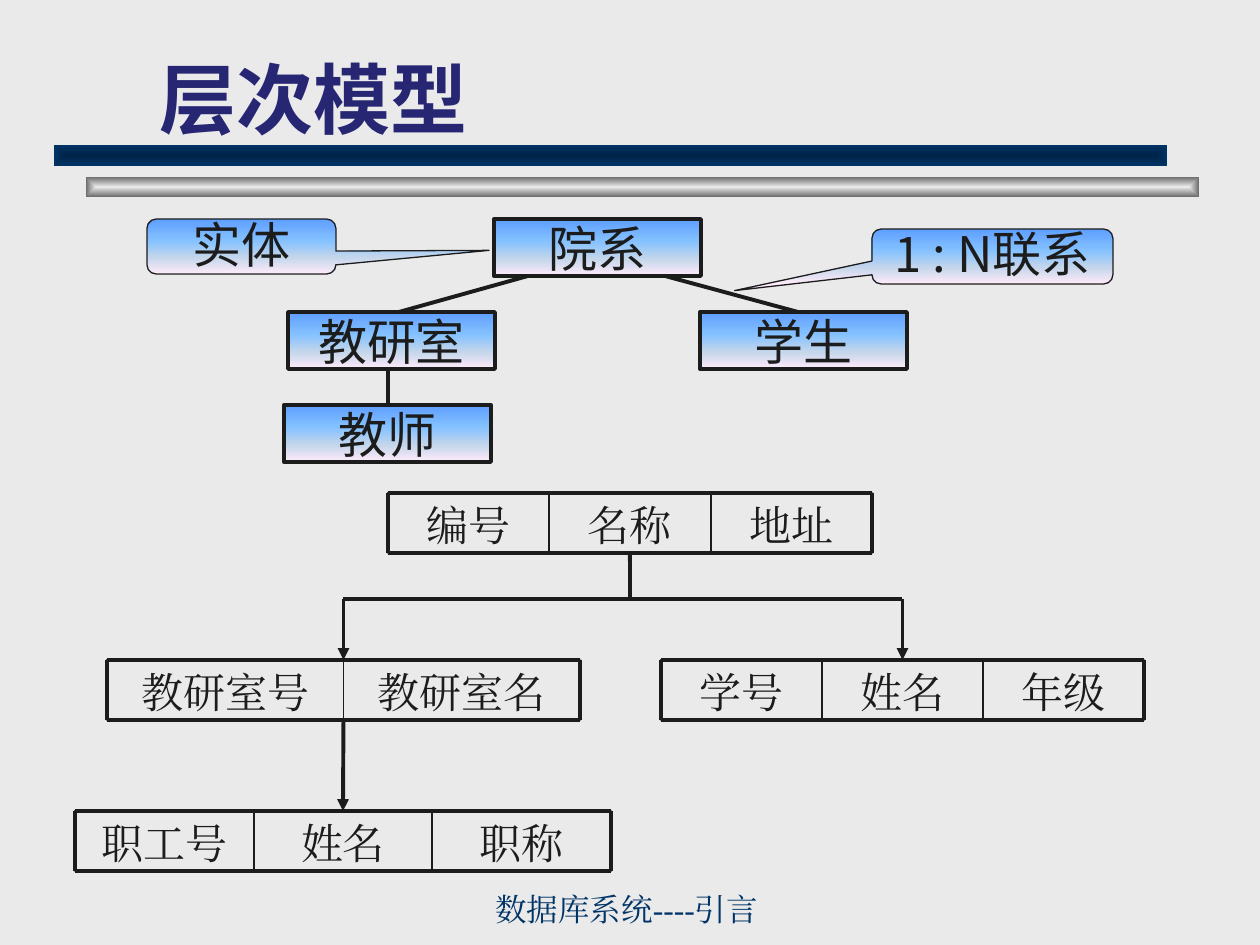
from lxml import etree
from pptx import Presentation
from pptx import util as u
from pptx.dml.color import RGBColor
from pptx.enum import shapes, text
from pptx.oxml import parse_xml
from pptx.oxml.ns import nsdecls, qn

PX = 914400 / 126
INK, NAVY, PURPLE = "1C1C1C", "003366", "262673"
SERIF, SANS, TITLE_FONT = "Times New Roman", "Noto Sans CJK JP", "Roboto"
TOP, BOTTOM = 0, 2

# Content: positions and sizes in px
TITLE = ("层次模型", (147, 42, 1074, 108))
FOOTER = ("数据库系统----引言", (483, 892, 514, 42))
BARS = [
    ((86, 177, 1113, 20), [(0, "EAEAEA"), (100, "6C6C6C")]),
    ((54, 145, 1113, 21), [(0, "002449"), (100, NAVY)]),
]
ENTITY_STOPS = [(0, "5E9EFF"), (40, "85C2FF"), (70, "C4D6EB"), (100, "FFEBFA")]
ENTITY_SIZE = (207, 57)
ENTITIES = [("院系", 494, 219), ("教研室", 288, 312), ("学生", 700, 312), ("教师", 284, 405)]
TREE_LINES = [(528, 276, 399, 312), (665, 276, 798, 312), (388, 368, 388, 406)]
CALLOUTS = [
    ("1 : N联系", (872, 229, 241, 55), (-1.07, 0.62, 0.17)),
    ("实体", (147, 219, 189, 55), (1.31, 0.07, 0.17)),
]
RECORD_HEIGHT, BUS_Y = 60, 599
RECORDS = {  # left, top, width, fields
    "department": (388, 493, 484, ["编号", "名称", "地址"]),
    "office": (107, 660, 473, ["教研室号", "教研室名"]),
    "student": (661, 660, 483, ["学号", "姓名", "年级"]),
    "teacher": (75, 811, 536, ["职工号", "姓名", "职称"]),
}

presentation = Presentation()
presentation.slide_width, presentation.slide_height = u.Inches(10), u.Inches(7.5)
slide = presentation.slides.add_slide(presentation.slide_layouts[5])


def emu(*lengths):
    return [round(length * PX) for length in lengths]


def color(value):
    return RGBColor.from_string(value)


def gradient(shape, stops, direction):
    stop_xml = "".join(
        f'<a:gs pos="{position * 1000}"><a:srgbClr val="{value}"/></a:gs>'
        for position, value in stops)
    fill = parse_xml(f'<a:gradFill {nsdecls("a")} rotWithShape="1">'
                     f'<a:gsLst>{stop_xml}</a:gsLst>{direction}</a:gradFill>')
    shape._element.spPr.find(qn("a:prstGeom")).addnext(fill)


def write(shape, words, size, font, ink, insets=(0.1, 0.05, 0.1, 0.05),
          anchor=text.MSO_ANCHOR.TOP, align=text.PP_ALIGN.CENTER, bold=False):
    frame = shape.text_frame
    frame.word_wrap = True
    frame.auto_size = text.MSO_AUTO_SIZE.NONE
    frame.vertical_anchor = anchor
    (frame.margin_left, frame.margin_top,
     frame.margin_right, frame.margin_bottom) = map(u.Inches, insets)
    paragraph = frame.paragraphs[0]
    paragraph.alignment = align
    run = paragraph.add_run()
    run.text = words
    run.font.name, run.font.size, run.font.bold = font, u.Pt(size), bold
    run.font.color.rgb = color(ink)
    etree.SubElement(run.font._element, qn("a:ea"), typeface=font)


def add_box(box, kind=shapes.MSO_SHAPE.RECTANGLE, width=None):
    shape = slide.shapes.add_shape(kind, *emu(*box))
    shape.shadow.inherit = False
    if width:
        shape.line.color.rgb, shape.line.width = color(INK), u.Pt(width)
    else:
        shape.line.fill.background()
    return shape


def add_line(x1, y1, x2, y2, width=2.25, arrow=False):
    line = slide.shapes.add_connector(shapes.MSO_CONNECTOR.STRAIGHT, *emu(x1, y1, x2, y2))
    line.line.color.rgb, line.line.width = color(INK), u.Pt(width)
    if arrow:
        etree.SubElement(line.line._get_or_add_ln(), qn("a:tailEnd"), type="triangle")
    etree.SubElement(line._element.spPr, qn("a:effectLst"))
    return line


def add_blue_box(words, box, width, bottom_inset=0, kind=shapes.MSO_SHAPE.RECTANGLE):
    shape = add_box(box, kind, width)
    gradient(shape, ENTITY_STOPS, '<a:lin ang="5400000" scaled="1"/>')
    write(shape, words, 28, SANS, INK, (0, 0, 0, bottom_inset), text.MSO_ANCHOR.MIDDLE)
    return shape


def add_record(left, top, width, fields):
    """Draw the fields with thin dividers and a thick frame; return the cells."""
    column, bottom = width / len(fields), top + RECORD_HEIGHT
    cells = []
    for index, field in enumerate(fields):
        cell = add_box((left + index * column, top, column, RECORD_HEIGHT), width=0.75)
        cell.fill.background()
        write(cell, field, 24, SERIF, INK)
        cells.append(cell)
    for y in (top, bottom):
        add_line(left, y, left + width, y)
    for index in range(len(fields) + 1):
        x = left + index * column
        add_line(x, top, x, bottom, 2.25 if index in (0, len(fields)) else 1)
    return cells


# Background, header bars, title and footer
slide.background.fill.solid()
slide.background.fill.fore_color.rgb = color("EAEAEA")
for box, stops in BARS:
    gradient(add_box(box), stops, '<a:path path="rect"><a:fillToRect l="50000" t="50000" '
                                  'r="50000" b="50000"/></a:path>')
title = slide.shapes.title
title.left, title.top, title.width, title.height = emu(*TITLE[1])
write(title, TITLE[0], 44, TITLE_FONT, PURPLE, anchor=text.MSO_ANCHOR.BOTTOM,
      align=text.PP_ALIGN.LEFT, bold=True)
footer = slide.shapes.add_textbox(*emu(*FOOTER[1]))
write(footer, FOOTER[0], 18, SERIF, NAVY, anchor=text.MSO_ANCHOR.BOTTOM,
      align=text.PP_ALIGN.LEFT)

# Record diagram: every link runs through the centre of a record
cells = {name: add_record(*record) for name, record in RECORDS.items()}
center = {name: left + width / 2 for name, (left, _, width, _) in RECORDS.items()}
top = {name: record[1] for name, record in RECORDS.items()}
for name in ("office", "student"):
    arrow = add_line(center[name], BUS_Y, center[name], top[name], arrow=True)
    if name == "student":
        arrow.end_connect(cells[name][1], TOP)
add_line(center["office"], BUS_Y, center["student"], BUS_Y)
trunk = add_line(center["department"], top["department"] + RECORD_HEIGHT,
                 center["department"], BUS_Y)
trunk.begin_connect(cells["department"][1], BOTTOM)
teacher_arrow = add_line(center["office"], top["office"] + RECORD_HEIGHT,
                         center["teacher"], top["teacher"], arrow=True)
teacher_arrow.end_connect(cells["teacher"][1], TOP)

# Entity tree and its callouts
for words, left, y in ENTITIES:
    add_blue_box(words, (left, y, *ENTITY_SIZE), 2.25)
for ends in TREE_LINES:
    add_line(*ends)
for words, box, adjustments in CALLOUTS:
    callout = add_blue_box(words, box, 0.75, 0.05, shapes.MSO_SHAPE.ROUNDED_RECTANGULAR_CALLOUT)
    for index, value in enumerate(adjustments):
        callout.adjustments[index] = value

presentation.save("out.pptx")
